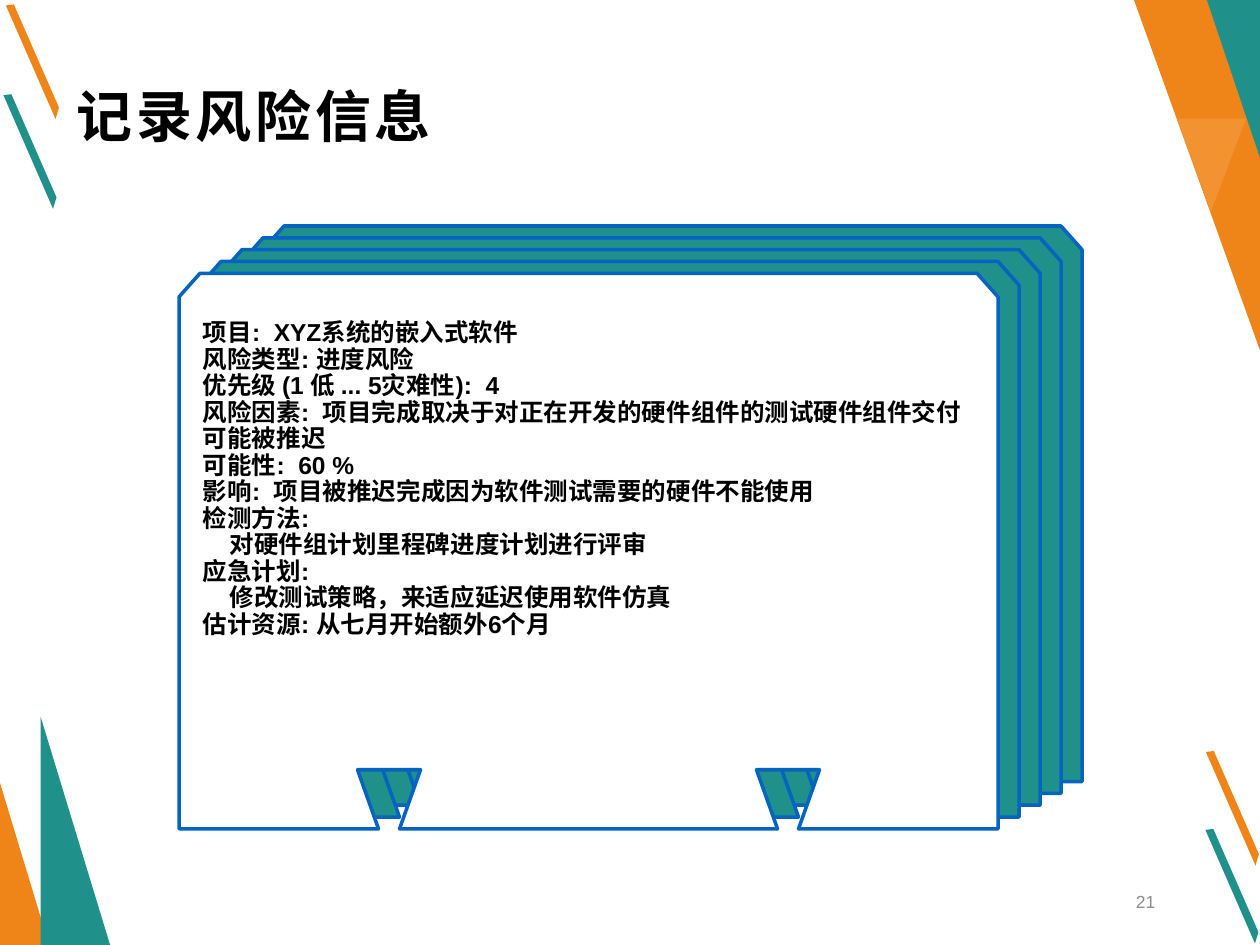
from pptx import Presentation
from pptx.dml.color import RGBColor
from pptx.enum.shapes import MSO_SHAPE
from pptx.enum.text import MSO_ANCHOR, PP_ALIGN
from pptx.oxml.ns import qn
from pptx.util import Cm, Pt
from lxml.etree import SubElement

ORANGE = RGBColor(0xEF, 0x85, 0x19)
LIGHT = RGBColor(0xF3, 0x92, 0x31)
TEAL = RGBColor(0x20, 0x90, 0x8A)
BLUE = RGBColor(0x05, 0x63, 0xC1)
GREY = RGBColor(0x8C, 0x8C, 0x8C)
WHITE = RGBColor(0xFF, 0xFF, 0xFF)
BLACK = RGBColor(0, 0, 0)
CJK = "Noto Sans CJK SC"

# Each line of the risk card: text, indented or not
FACTS = [
    ("项目:  XYZ系统的嵌入式软件", False),
    ("风险类型: 进度风险", False),
    ("优先级 (1 低 ... 5灾难性):  4", False),
    ("风险因素:  项目完成取决于对正在开发的硬件组件的测试硬件组件交付", False),
    ("可能被推迟", False),
    ("可能性:  60 %", False),
    ("影响:  项目被推迟完成因为软件测试需要的硬件不能使用", False),
    ("检测方法:", False),
    ("对硬件组计划里程碑进度计划进行评审", True),
    ("应急计划:", False),
    ("修改测试策略，来适应延迟使用软件仿真", True),
    ("估计资源: 从七月开始额外6个月", False),
]

# Card outline on a grid of 39 columns and 47 rows
COLS, ROWS = 39, 47
EDGE = [(0, 47), (0, 2), (1, 0), (38, 0), (39, 2), (39, 47),
        (29.5, 47), (30.5, 42), (27.5, 42), (28.5, 47),
        (10.5, 47), (11.5, 42), (8.5, 42), (9.5, 47)]


def paint(shape, fill, line=None):
    shape.shadow.inherit = False
    shape.fill.solid()
    shape.fill.fore_color.rgb = fill
    if line is None:
        shape.line.fill.background()
    else:
        shape.line.color.rgb = line
        shape.line.width = Pt(2)


def draw(slide, left, top, points, fill, line=None):
    """Closed outline; points are cm from left, top."""
    spots = [(Cm(left + x), Cm(top + y)) for x, y in points]
    pen = slide.shapes.build_freeform(*spots[0], scale=1.0)
    pen.add_line_segments(spots[1:], close=True)
    paint(pen.convert_to_shape(), fill, line)


def write(slide, box, lines, font, size, color, bold=False):
    frame = slide.shapes.add_textbox(*map(Cm, box)).text_frame
    frame.word_wrap = True
    frame.text = "\n".join(lines)
    for para in frame.paragraphs:
        for run in para.runs:
            run.font.name = font
            run.font.size = Pt(size)
            run.font.bold = bold
            run.font.color.rgb = color
            SubElement(run.font._element, qn("a:ea")).set("typeface", CJK)
    return frame


def add_decor(slide, wide, high):
    # Slanted strokes
    stroke = [(0, 0.02), (0.16, 0), (1.07, 2.08), (1, 2.31)]
    for left, top, fill in ((wide - 1.09, 15.14, ORANGE), (0.07, 1.9, TEAL),
                            (0.12, 0.09, ORANGE), (wide - 1.1, 16.71, TEAL)):
        draw(slide, left, top, stroke, fill)
    # Top right corner
    for width, height, fill in ((2.54, 7.06, ORANGE), (1.07, 3.18, TEAL)):
        draw(slide, wide - width, 0, [(0, 0), (width, 0), (width, height)], fill)
    draw(slide, wide - 1.68, 2.39, [(0, 0), (1.4, 0), (0.69, 1.88)], LIGHT)
    # Bottom left corner
    for left, width, height, fill in ((0, 0.99, 3.27, ORANGE),
                                      (0.82, 1.4, 4.6, TEAL)):
        peak = slide.shapes.add_shape(
            MSO_SHAPE.ISOSCELES_TRIANGLE,
            Cm(left), Cm(high - height), Cm(width), Cm(height))
        peak.adjustments[0] = 0
        paint(peak, fill)


def add_cards(slide, left, top, width, height, count=5):
    """Stack of cards; the box is that of the front one."""
    col, row = width / COLS, height / ROWS
    edge = [(x * col, y * row) for x, y in EDGE]
    for back in reversed(range(count)):
        draw(slide, left + back * col, top - back * row, edge,
             TEAL if back else WHITE, BLUE)
    box = (left + 0.23, top + 0.83, width - 0.66, 7.8)
    frame = write(slide, box, [text for text, _ in FACTS],
                  "Arial", 14, BLACK, True)
    for para, (_, inner) in zip(frame.paragraphs, FACTS):
        para.line_spacing = 0.9
        if inner:
            para._p.get_or_add_pPr().set("marL", str(Cm(0.54)))


def add_title(slide, *box):
    frame = write(slide, box, ["记录风险信息"], CJK, 32, BLACK, True)
    frame.vertical_anchor = MSO_ANCHOR.MIDDLE
    frame.paragraphs[0].runs[0].font._element.set("spc", "200")


def add_number(slide, *box):
    frame = write(slide, box, ["21"], "Arial", 10, GREY)
    frame.vertical_anchor = MSO_ANCHOR.BOTTOM
    frame.paragraphs[0].alignment = PP_ALIGN.RIGHT


def main():
    deck = Presentation()
    deck.slide_width, deck.slide_height = Cm(25.4), Cm(19.05)
    slide = deck.slides.add_slide(deck.slide_layouts[6])
    add_decor(slide, 25.4, 19.05)
    add_number(slide, 17.93, 17.63, 5.61, 0.89)
    add_cards(slide, 3.61, 5.51, 16.51, 11.2)
    add_title(slide, 1.3, 1.12, 22.81, 2.39)
    deck.save("out.pptx")


if __name__ == "__main__":
    main()
